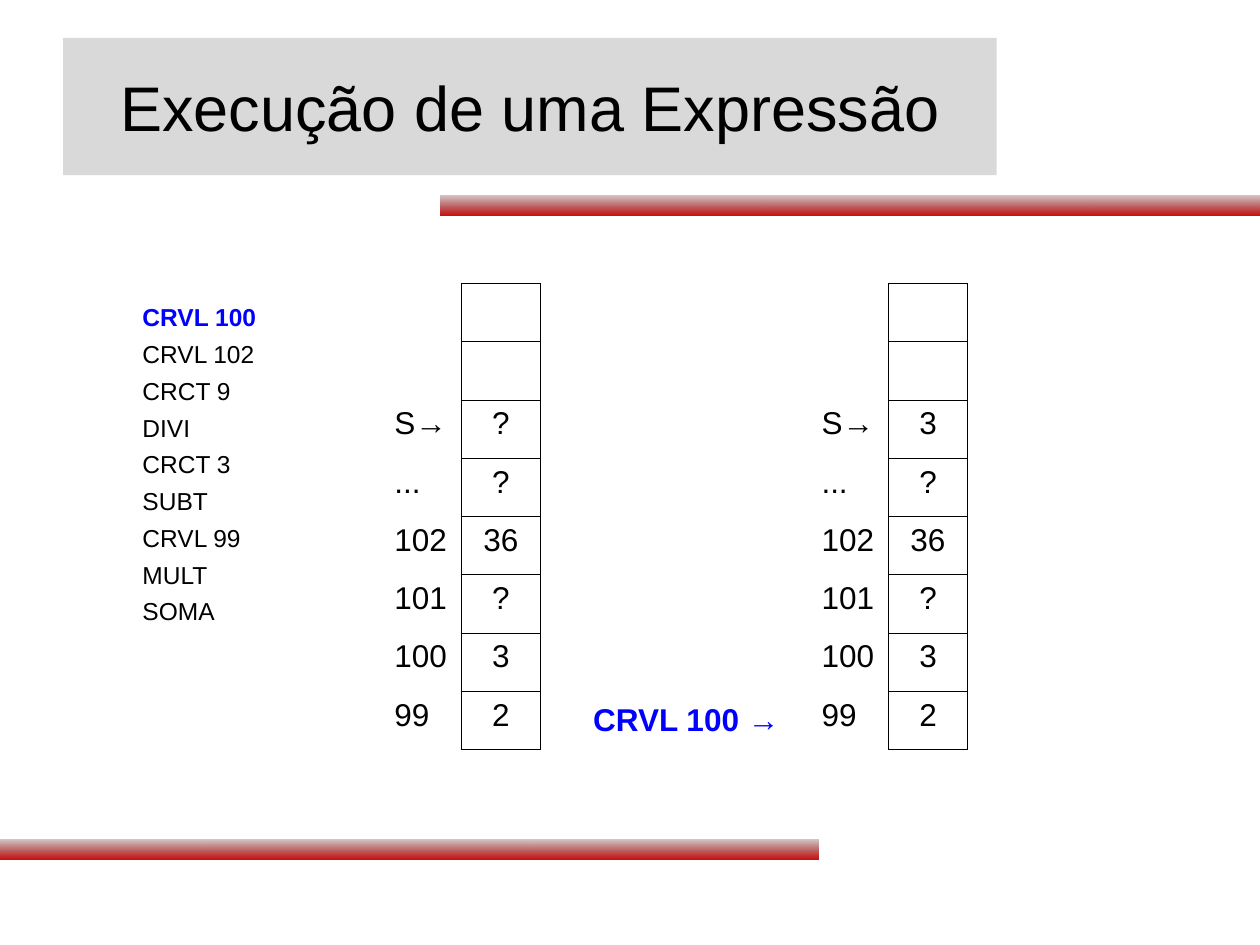
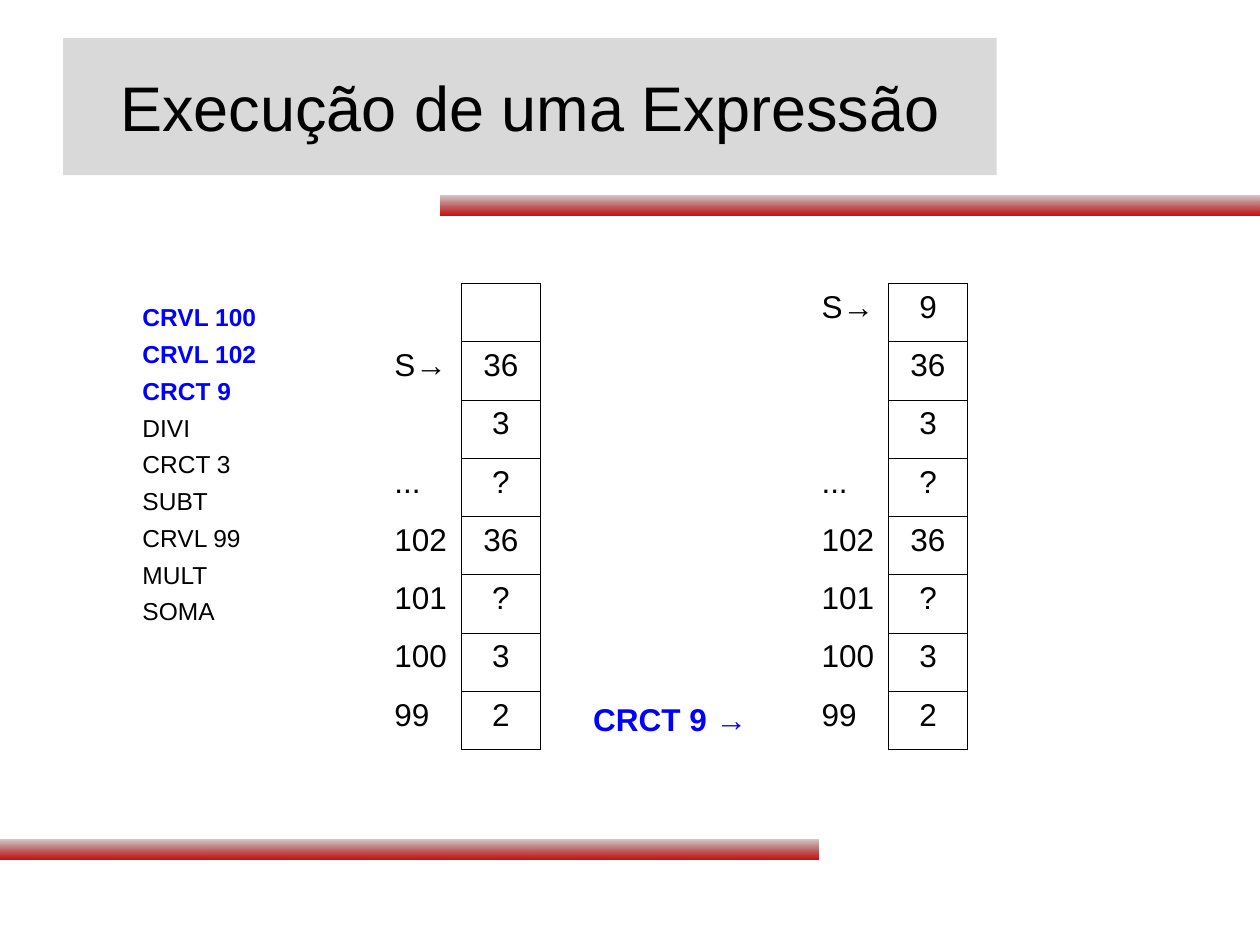
from dataclasses import dataclass

from lxml.etree import SubElement as Sub
from pptx import Presentation
from pptx.dml.color import RGBColor as RGB
from pptx.enum.shapes import MSO_SHAPE as SHAPE
from pptx.enum.text import MSO_ANCHOR as ANCHOR, MSO_AUTO_SIZE as AUTO, PP_ALIGN as ALIGN
from pptx.oxml.ns import qn
from pptx.util import Inches, Pt


@dataclass(frozen=True)
class Theme:
    font: str = "Arial"
    ink: str = "000000"
    highlight: str = "0000FF"
    title_fill: str = "D9D9D9"
    band_start: str = "5E0000"
    band_end: str = "CC0000"
    band_start_alpha: int = 21
    title_size: float = 36
    memory_size: float = 18
    code_size: float = 14
    border: float = 0.45


THEME = Theme()
TITLE = "Execução de uma Expressão"
PROGRAM = ["CRVL 100", "CRVL 102", "CRCT 9", "DIVI", "CRCT 3",
           "SUBT", "CRVL 99", "MULT", "SOMA"]

# Fixed memory below the stack, from top to bottom
MEMORY = [("...", "?"), ("102", "36"), ("101", "?"), ("100", "3"), ("99", "2")]
STACK_ROWS = 3
NO_STYLE = "{2D5ABB26-0587-4C30-8999-92F81FD0307C}"

# Instructions done, stack before and stack after (bottom first)
STEPS = [
    (1, ["?"], ["3"]),
    (3, ["3", "36"], ["3", "36", "9"]),
]


def place(shape, left, top, width, height):
    shape.left, shape.top = Inches(left), Inches(top)
    shape.width, shape.height = Inches(width), Inches(height)


def style(paragraph, size, color=THEME.ink, bold=False):
    for run in paragraph.runs:
        run.font.name, run.font.size, run.font.bold = THEME.font, Pt(size), bold
        run.font.color.rgb = RGB.from_string(color)


# Bands shared by all slides
def add_band(slide, left, top):
    """Draw a gradient band and move it to the slide's layout."""
    band = slide.shapes.add_shape(SHAPE.RECTANGLE, Inches(left), Inches(top),
                                  Inches(6.5), Inches(0.16))
    band.shadow.inherit = False
    band.line.fill.background()
    band.fill.gradient()
    band.fill.gradient_angle = 270
    for stop, color in zip(band.fill.gradient_stops, (THEME.band_start, THEME.band_end)):
        stop.color.rgb = RGB.from_string(color)
    start_color = next(band.element.iter(qn("a:srgbClr")))
    Sub(start_color, qn("a:alpha"), val=str(THEME.band_start_alpha * 1000))
    slide.slide_layout.shapes.element.insert(2, band.element)


def add_title(slide):
    title = slide.shapes.title
    place(title, 0.5, 0.3, 7.41, 1.09)
    title.fill.solid()
    title.fill.fore_color.rgb = RGB.from_string(THEME.title_fill)
    title.text_frame.text = TITLE
    title.text_frame.vertical_anchor = ANCHOR.MIDDLE
    heading = title.text_frame.paragraphs[0]
    heading.alignment = ALIGN.CENTER
    style(heading, THEME.title_size)


# Instruction list, with those already executed highlighted
def add_program(slide, done):
    listing = slide.placeholders[1]
    place(listing, 0.59, 2.33, 1.73, 2.68)
    frame = listing.text_frame
    frame.auto_size = AUTO.NONE
    frame.margin_top = Inches(0.07)
    frame.text = "\n".join(PROGRAM)
    for index, instruction in enumerate(frame.paragraphs):
        props = instruction._p.get_or_add_pPr()
        props.set("marL", str(Inches(0.44)))
        props.set("indent", "0")
        Sub(props, qn("a:buNone"))
        instruction.space_before = Pt(4.2 if index else 0)
        executed = index < done
        style(instruction, THEME.code_size,
              THEME.highlight if executed else THEME.ink, executed)


def add_borders(cell, sides):
    props = cell._tc.get_or_add_tcPr()
    for side in sides:
        line = Sub(props, qn(f"a:ln{side}"), w=str(Pt(THEME.border)))
        Sub(Sub(line, qn("a:solidFill")), qn("a:srgbClr"), val=THEME.ink)


def memory_rows(stack):
    """Rows from top to bottom, with S pointing at the top of the stack."""
    free = [("", "")] * (STACK_ROWS - len(stack))
    pointers = ["S→"] + [""] * (len(stack) - 1)
    return free + list(zip(pointers, reversed(stack))) + MEMORY


# Memory map: addresses on the left, boxed values on the right
def add_memory(slide, left, stack):
    rows = memory_rows(stack)
    frame = slide.shapes.add_table(len(rows), 2, Inches(left), Inches(2.25),
                                   Inches(1.26), Inches(3.7))
    next(frame.element.iter(qn("a:tableStyleId"))).text = NO_STYLE
    memory = frame.table
    memory.first_row = memory.horz_banding = False
    columns = ((ALIGN.LEFT, "R"), (ALIGN.CENTER, "LRTB"))
    for row, texts in enumerate(rows):
        for column, (alignment, sides) in enumerate(columns):
            cell = memory.cell(row, column)
            add_borders(cell, sides)
            cell.fill.background()
            cell.text_frame.text = texts[column]
            entry = cell.text_frame.paragraphs[0]
            entry.alignment = alignment
            style(entry, THEME.memory_size)


def add_current_instruction(slide, instruction):
    label = slide.shapes.add_textbox(Inches(4.61), Inches(5.48), Inches(1.73), Inches(0.47))
    frame = label.text_frame
    frame.word_wrap = True
    frame.margin_top = Inches(0.08)
    frame.text = f"{instruction} →"
    style(frame.paragraphs[0], THEME.memory_size, THEME.highlight, True)


def add_step(deck, done, before, after):
    slide = deck.slides.add_slide(deck.slide_layouts[1])
    add_title(slide)
    add_program(slide, done)
    add_memory(slide, 3.03, before)
    add_memory(slide, 6.42, after)
    add_current_instruction(slide, PROGRAM[done - 1])


def main():
    deck = Presentation()
    deck.slide_width, deck.slide_height = Inches(10), Inches(7.5)
    for step in STEPS:
        add_step(deck, *step)
    for left, top in ((0, 6.66), (3.5, 1.55)):
        add_band(deck.slides[0], left, top)
    deck.save("out.pptx")


if __name__ == "__main__":
    main()
